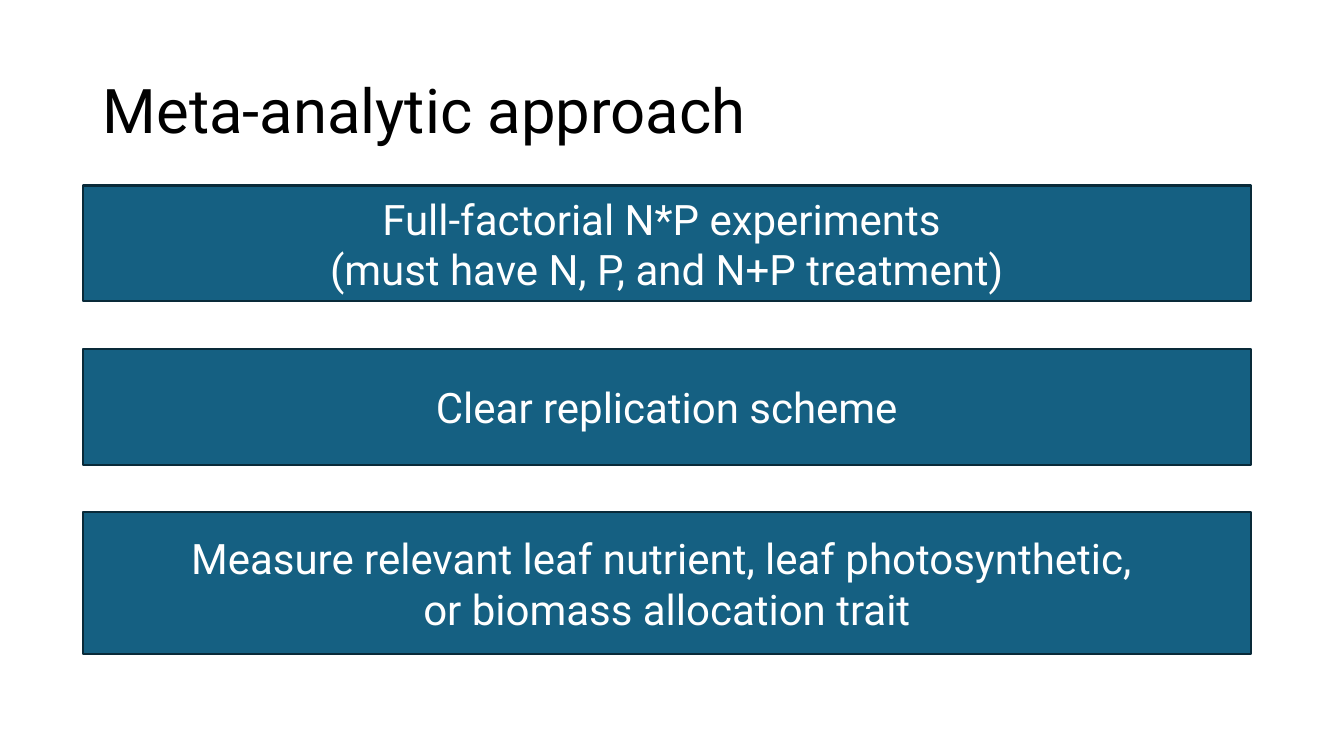
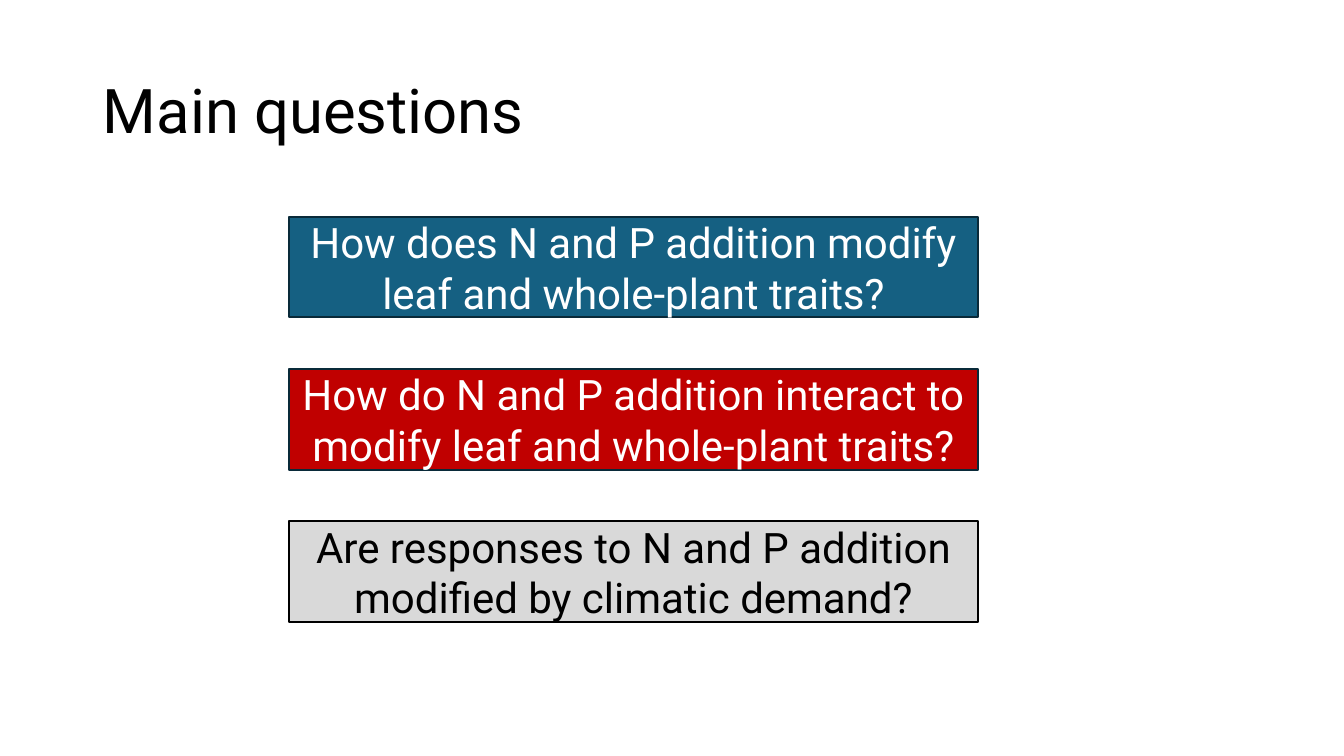
import dataclasses

import pptx
import pptx.dml.color
import pptx.enum.shapes
import pptx.enum.text
import pptx.util
from pptx.util import Inches


@dataclasses.dataclass(frozen=True)
class Theme:
    font: str = "Roboto"
    title_size: int = 44
    box_size: int = 30
    outline_width: float = 1.5
    black: str = "000000"
    white: str = "FFFFFF"
    blue: str = "156082"
    navy: str = "092A39"
    red: str = "C00000"
    gray: str = "D9D9D9"


def rgb(color):
    return pptx.dml.color.RGBColor.from_string(color)


class Deck:
    """Holds the style and the current slide."""

    def __init__(self, theme):
        self.theme = theme
        self.presentation = pptx.Presentation()
        self.presentation.slide_width = Inches(13.33)
        self.presentation.slide_height = Inches(7.5)
        self.slide = None

    def format_text(self, text_frame, text, size, color, alignment):
        text_frame.text = text
        text_frame.word_wrap = True
        text_frame.vertical_anchor = pptx.enum.text.MSO_ANCHOR.MIDDLE
        for paragraph in text_frame.paragraphs:
            paragraph.alignment = alignment
            paragraph.font.name = self.theme.font
            paragraph.font.size = pptx.util.Pt(size)
            paragraph.font.color.rgb = rgb(color)

    def add_slide(self, title_text):
        layout = self.presentation.slide_layouts.get_by_name("Title Only")
        self.slide = self.presentation.slides.add_slide(layout)
        title = self.slide.shapes.title
        title.left, title.top = Inches(0.92), Inches(0.4)
        title.width, title.height = Inches(11.5), Inches(1.45)
        self.format_text(title.text_frame, title_text, self.theme.title_size,
                         self.theme.black, pptx.enum.text.PP_ALIGN.LEFT)
        title.text_frame.auto_size = pptx.enum.text.MSO_AUTO_SIZE.NONE
        title.text_frame.paragraphs[0].line_spacing = 0.9

    def add_box(self, text, left, top, width, height, fill, line, color):
        box = self.slide.shapes.add_shape(
            pptx.enum.shapes.MSO_SHAPE.RECTANGLE,
            Inches(left), Inches(top), Inches(width), Inches(height))
        box.shadow.inherit = False
        box.fill.solid()
        box.fill.fore_color.rgb = rgb(fill)
        box.line.color.rgb = rgb(line)
        box.line.width = pptx.util.Pt(self.theme.outline_width)
        self.format_text(box.text_frame, text, self.theme.box_size,
                         color, pptx.enum.text.PP_ALIGN.CENTER)


def main():
    theme = Theme()
    deck = Deck(theme)

    # Criteria for including studies
    deck.add_slide("Meta-analytic approach")
    criteria = [
        ("Full-factorial N*P experiments \n(must have N, P, and N+P treatment)", 1.15),
        ("Clear replication scheme", 1.15),
        ("Measure relevant leaf nutrient, leaf photosynthetic, \n"
         "or biomass allocation trait", 1.41),
    ]
    for row, (text, height) in enumerate(criteria):
        deck.add_box(text, 0.82, 1.84 + 1.62 * row, 11.59, height,
                     theme.blue, theme.navy, theme.white)

    # Research questions
    deck.add_slide("Main questions")
    questions = [
        ("How does N and P addition modify leaf and whole-plant traits?",
         theme.blue, theme.navy, theme.white),
        ("How do N and P addition interact to modify leaf and whole-plant traits?",
         theme.red, theme.navy, theme.white),
        ("Are responses to N and P addition modified by climatic demand?",
         theme.gray, theme.black, theme.black),
    ]
    for row, (text, fill, line, color) in enumerate(questions):
        deck.add_box(text, 2.87, 2.15 + 1.51 * row, 6.83, 1, fill, line, color)

    deck.presentation.save("out.pptx")


if __name__ == "__main__":
    main()
